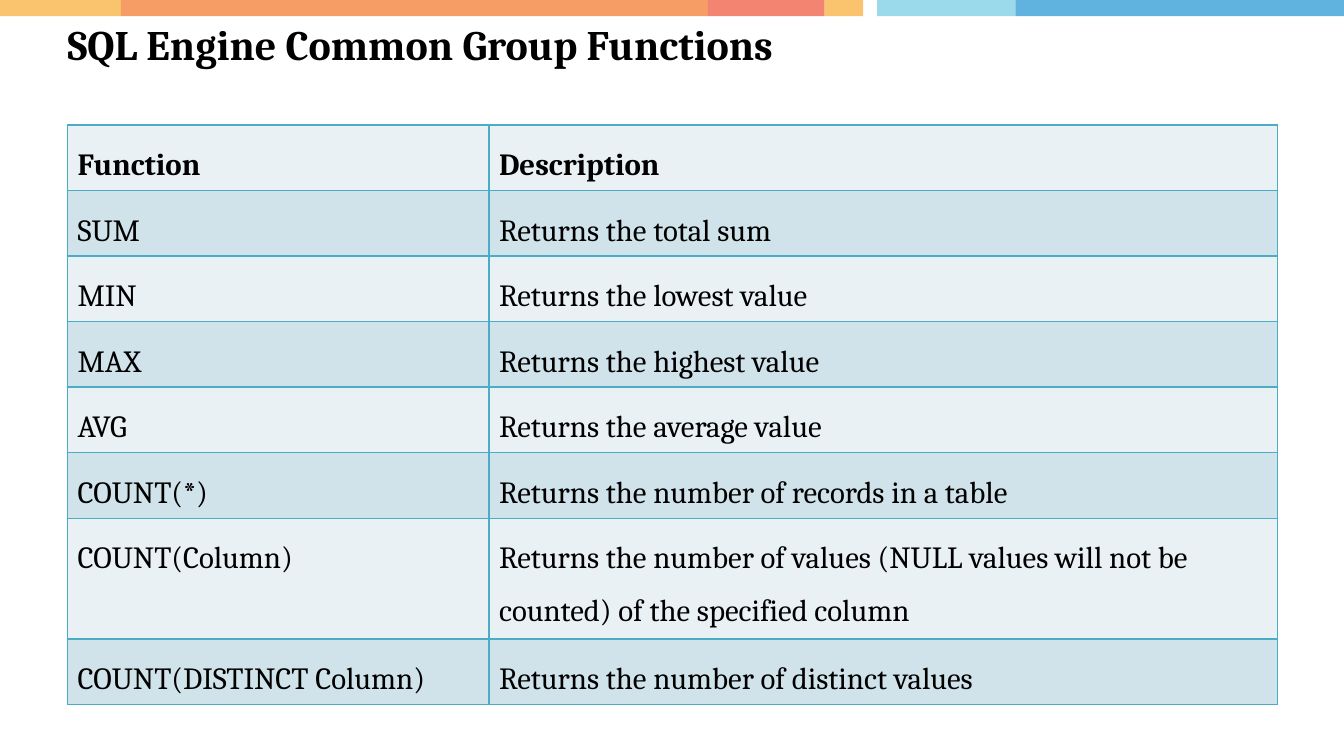
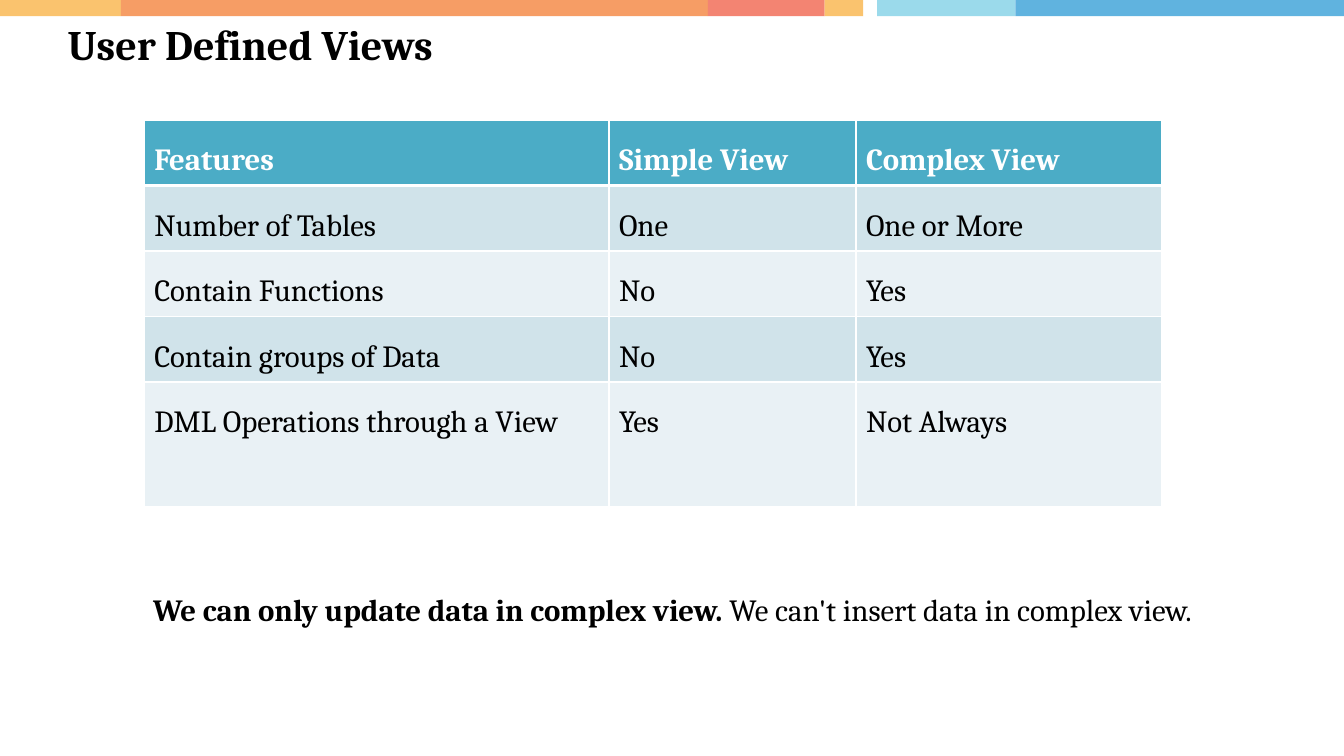
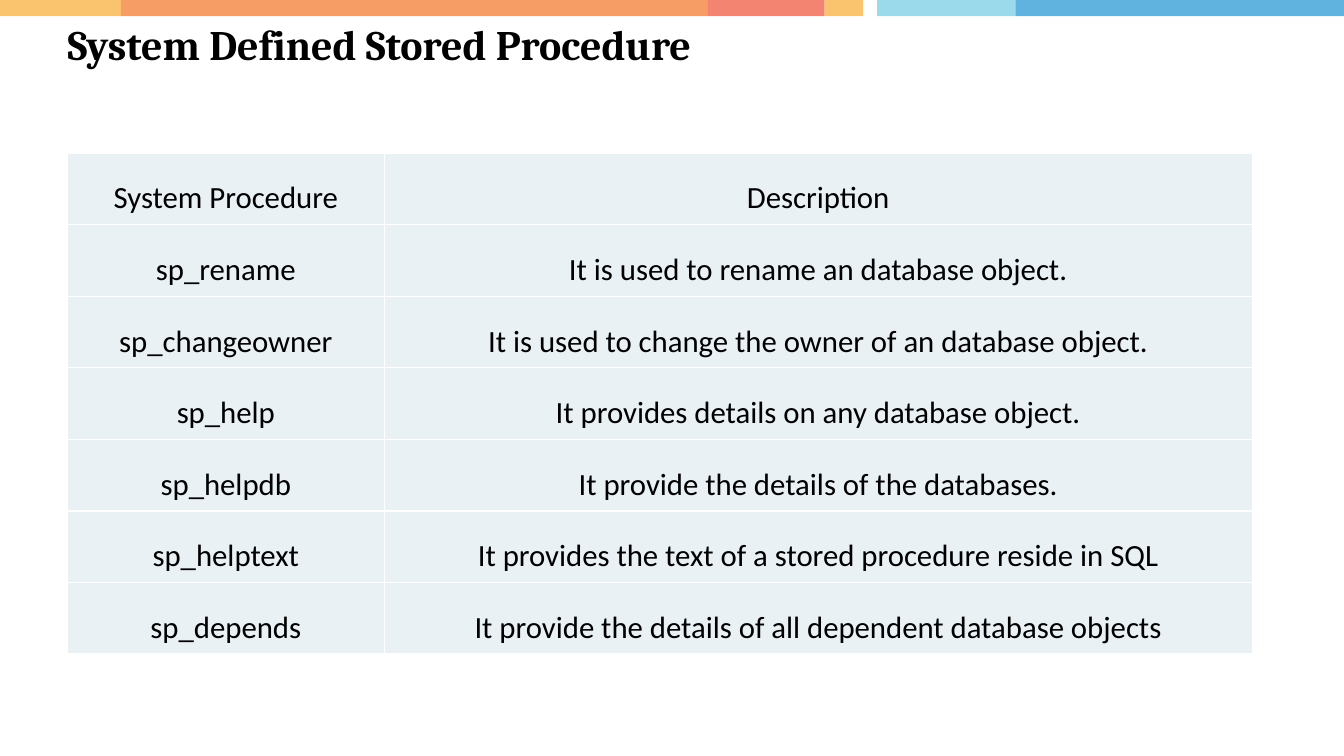
from lxml import etree
from pptx import Presentation
from pptx import util as u
from pptx.dml.color import RGBColor
from pptx.enum import shapes, text
from pptx.oxml import ns

WIDTH, HEIGHT = 13.33, 7.5
MARGIN = 0.67
SERIF, SANS = "Cambria", "Calibri"
BODY_SIZE, TITLE_SIZE = 22, 30
COLORS = {
    "black": "000000", "white": "FFFFFF", "teal": "4BACC6",
    "pale": "E9F1F5", "mist": "D0E3EA",
    "amber": "FAC36E", "orange": "F69D65", "coral": "F38472",
    "sky": "9BDAEB", "blue": "60B3DF",
}
BAND = [
    (0, 1.2, "amber"), (1.2, 7.02, "orange"), (7.02, 8.18, "coral"),
    (8.18, 8.56, "amber"), (8.7, 10.07, "sky"), (10.07, WIDTH, "blue"),
]


def rgb(name):
    """Return the palette colour called name."""
    return RGBColor.from_string(COLORS[name])


def style_run(r, size=BODY_SIZE, font=SERIF, color="black", bold=False):
    """Apply font settings to a run."""
    r.font.size = u.Pt(size)
    r.font.name = font
    r.font.bold = bold
    r.font.color.rgb = rgb(color)


def add_text(slide, box, runs, size=BODY_SIZE, inset=(0.1, 0.05),
             align=text.PP_ALIGN.LEFT, spacing=1.0):
    """Add one wrapped paragraph of (words, bold) runs in a box."""
    tf = slide.shapes.add_textbox(*map(u.Inches, box)).text_frame
    tf.word_wrap = True
    tf.margin_left = tf.margin_right = u.Inches(inset[0])
    tf.margin_top = tf.margin_bottom = u.Inches(inset[1])
    p = tf.paragraphs[0]
    p.alignment, p.line_spacing = align, spacing
    for words, bold in runs:
        r = p.add_run()
        r.text = words
        style_run(r, size, bold=bold)


def add_band(slide, box):
    """Draw the coloured strip across the top of a slide."""
    left, top, width, height = box
    scale = width / WIDTH
    for start, end, color in BAND:
        sp = slide.shapes.add_shape(
            shapes.MSO_SHAPE.RECTANGLE, u.Inches(left + start * scale),
            u.Inches(top), u.Inches((end - start) * scale), u.Inches(height))
        sp.shadow.inherit = False
        sp.fill.solid()
        sp.fill.fore_color.rgb = rgb(color)
        sp.line.fill.background()


def new_slide(prs, title):
    """Add a blank slide with the band and a title."""
    slide = prs.slides.add_slide(prs.slide_layouts[6])
    add_band(slide, (0, 0, WIDTH, 0.16))
    add_text(slide, (MARGIN, 0.18, WIDTH - 2 * MARGIN, 0.5), [(title, True)],
             TITLE_SIZE, inset=(0, 0))
    return slide


def set_borders(cell, color, top=1, bottom=1):
    """Draw the four borders of a cell, widths in points."""
    props = cell._tc.get_or_add_tcPr()
    sides = [("lnL", 1), ("lnR", 1), ("lnT", top), ("lnB", bottom)]
    for i, (side, width) in enumerate(sides):
        ln = etree.Element(ns.qn("a:" + side), w=str(u.Pt(width)))
        fill = etree.SubElement(ln, ns.qn("a:solidFill"))
        etree.SubElement(fill, ns.qn("a:srgbClr"), val=COLORS[color])
        props.insert(i, ln)


def add_grid(slide, origin, cols, heights, rows, fills, border="white",
             header="black", bold_header=True, rule=1, font=SERIF,
             centred=False):
    """Add a table at origin; fills gives header, odd and even row colours."""
    box = (*origin, sum(cols), sum(heights))
    table = slide.shapes.add_table(
        len(rows), len(cols), *map(u.Inches, box)).table
    table.first_row = table.horz_banding = False
    for column, width in zip(table.columns, cols):
        column.width = u.Inches(width)
    for i, (height, words) in enumerate(zip(heights, rows)):
        table.rows[i].height = u.Inches(height)
        fill = fills[0] if i == 0 else fills[2 - i % 2]
        for j, word in enumerate(words):
            cell = table.cell(i, j)
            cell.fill.solid()
            cell.fill.fore_color.rgb = rgb(fill)
            set_borders(cell, border, top=rule if i == 1 else 1,
                        bottom=rule if i == 0 else 1)
            p = cell.text_frame.paragraphs[0]
            p.text = word
            p.line_spacing = 1.5
            if centred:
                p.alignment = text.PP_ALIGN.CENTER
                cell.vertical_anchor = text.MSO_ANCHOR.MIDDLE
                cell.margin_top = cell.margin_bottom = u.Inches(0.07)
            style_run(p.runs[0], font=font, bold=bold_header and i == 0,
                      color=header if i == 0 else "black")


def functions_slide(prs):
    """Build the list of group functions."""
    slide = new_slide(prs, "SQL Engine Common Group Functions")
    rows = [
        ("Function", "Description"),
        ("SUM", "Returns the total sum"),
        ("MIN", "Returns the lowest value"),
        ("MAX", "Returns the highest value"),
        ("AVG", "Returns the average value"),
        ("COUNT(*)", "Returns the number of records in a table"),
        ("COUNT(Column)", "Returns the number of values (NULL values will "
         "not be counted) of the specified column"),
        ("COUNT(DISTINCT Column)", "Returns the number of distinct values"),
    ]
    add_grid(slide, (MARGIN, 1.24), [4.18, 7.82],
             [0.63] * 6 + [1.16, 0.63], rows, ("pale", "mist", "pale"),
             border="teal")


def views_slide(prs):
    """Build the comparison of simple and complex views."""
    slide = new_slide(prs, "User Defined Views")
    rows = [
        ("Features", "Simple View", "Complex View"),
        ("Number of Tables", "One", "One or More"),
        ("Contain Functions", "No", "Yes"),
        ("Contain groups of Data", "No", "Yes"),
        ("DML Operations through a View", "Yes", "Not Always"),
    ]
    add_grid(slide, (1.43, 1.19), [4.61, 2.45, 3.03], [0.64] * 4 + [1.24],
             rows, ("teal", "mist", "pale"), header="white", rule=3)
    add_text(slide, (1.17, 5.63, 11, 0.66),
             [("We can only update data in complex view.", True),
              ("\u00a0We can't insert data in complex view.", False)],
             align=text.PP_ALIGN.CENTER, spacing=1.5)


def procedures_slide(prs):
    """Build the list of system procedures."""
    slide = new_slide(prs, "System Defined Stored Procedure")
    rows = [
        ("System Procedure", "Description"),
        ("sp_rename", "It is used to rename an database object."),
        ("sp_changeowner",
         "It is used to change the owner of an database object."),
        ("sp_help", "It provides details on any database object."),
        ("sp_helpdb", "It provide the details of the databases."),
        ("sp_helptext",
         "It provides the text of a stored procedure reside in SQL"),
        ("sp_depends",
         "It provide the details of all dependent database objects"),
    ]
    add_grid(slide, (MARGIN, 1.52), [3.14, 8.61], [0.71] * len(rows), rows,
             ("pale", "pale", "pale"), bold_header=False, font=SANS,
             centred=True)


def main():
    """Build and save the presentation."""
    prs = Presentation()
    prs.slide_width, prs.slide_height = u.Inches(WIDTH), u.Inches(HEIGHT)
    functions_slide(prs)
    views_slide(prs)
    procedures_slide(prs)
    prs.save("out.pptx")


main()
